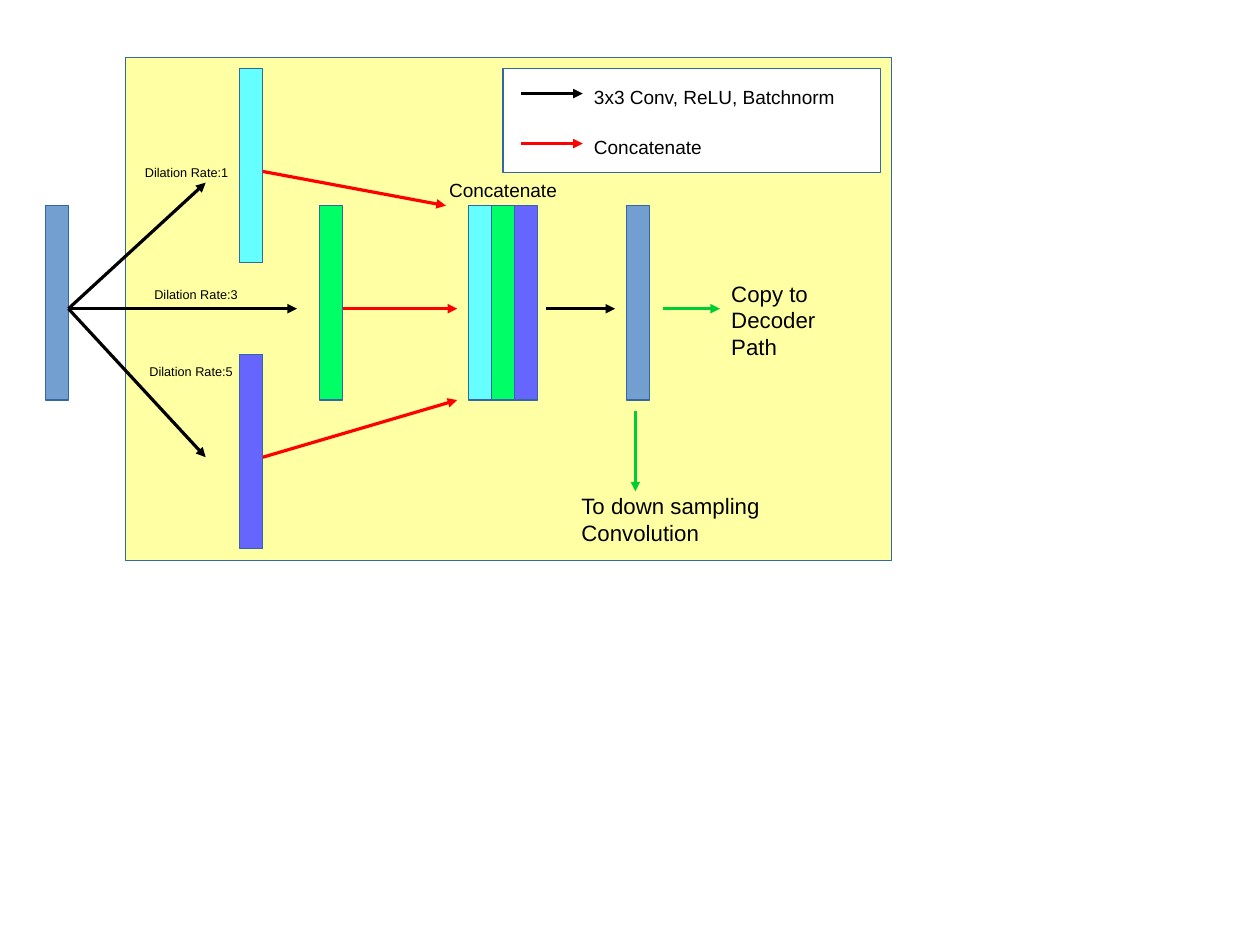
from lxml.etree import SubElement
from pptx import Presentation
from pptx.dml.color import RGBColor
from pptx.enum.dml import MSO_LINE
from pptx.enum.shapes import MSO_CONNECTOR as Connector, MSO_SHAPE as Shape
from pptx.enum.text import MSO_ANCHOR as Anchor, MSO_AUTO_SIZE as AutoSize
from pptx.oxml.ns import qn
from pptx.util import Cm, Pt

COLORS = {
    "panel": "FFFF00", "border": "3465A4", "feature": "729FCF",
    "cyan": "66FFFF", "green": "00FF66", "violet": "6666FF",
    "white": "FFFFFF", "text": "000000",
    "convolve": "000000", "concatenate": "FF0000", "output": "00CC33",
}
BAR_WIDTH, BAR_HEIGHT = 0.51, 4.32
ROW_TOP, ROW_AXIS = 4.57, 6.86


class Diagram:
    """Holds the style and the slide being drawn."""

    font_name = "Arial"
    line_width = Pt(0)

    def __init__(self, slide):
        self.slide = slide

    def color(self, name):
        return RGBColor.from_string(COLORS[name])

    def outline(self, line, color):
        line.fill.solid()
        formats = {"width": self.line_width, "dash_style": MSO_LINE.SOLID}
        for name, value in formats.items():
            setattr(line, name, value)
        line.color.rgb = self.color(color)

    def box(self, left, top, width, height, fill, opacity=None):
        shape = self.slide.shapes.add_shape(
            Shape.RECTANGLE, Cm(left), Cm(top), Cm(width), Cm(height))
        shape.shadow.inherit = False
        shape.fill.solid()
        shape.fill.fore_color.rgb = self.color(fill)
        if opacity is not None:
            tint = shape.fill._xPr.find(qn("a:solidFill"))[0]
            SubElement(tint, qn("a:alpha"), val=str(opacity * 1000))
        self.outline(shape.line, "border")
        return shape

    def bar(self, left, top, fill):
        return self.box(left, top, BAR_WIDTH, BAR_HEIGHT, fill)

    def arrow(self, start, end, color):
        connector = self.slide.shapes.add_connector(
            Connector.STRAIGHT, *map(Cm, (*start, *end)))
        self.outline(connector.line, color)
        properties = connector._element.spPr
        SubElement(properties.find(qn("a:ln")), qn("a:tailEnd"), type="triangle")
        SubElement(properties, qn("a:effectLst"))
        return connector

    def label(self, left, top, width, height, text, size, wrap=False):
        shape = self.slide.shapes.add_textbox(
            Cm(left), Cm(top), Cm(width), Cm(height))
        frame = shape.text_frame
        frame.text = text
        formats = {"word_wrap": wrap, "vertical_anchor": Anchor.TOP,
                   "auto_size": AutoSize.SHAPE_TO_FIT_TEXT}
        for name, value in formats.items():
            setattr(frame, name, value)
        for paragraph in frame.paragraphs:
            for name, value in {"name": self.font_name, "size": Pt(size)}.items():
                setattr(paragraph.font, name, value)
            paragraph.font.color.rgb = self.color("text")
        return shape


def main():
    presentation = Presentation()
    presentation.slide_width, presentation.slide_height = Cm(28), Cm(21)
    diagram = Diagram(presentation.slides.add_slide(presentation.slide_layouts[6]))

    # Module panel and input features
    diagram.box(2.79, 1.27, 17.02, 11.18, "panel", opacity=36)
    diagram.bar(1.02, ROW_TOP, "feature")

    # Dilated branches: rate, bar, arrow in, arrow out, label
    branches = [
        (1, "cyan", (5.33, 1.52), (4.57, 4.06), (5.84, 3.81), (9.91, 4.57), (2.97, 3.53)),
        (3, "green", (7.11, ROW_TOP), (6.6, ROW_AXIS), (7.62, ROW_AXIS),
         (10.16, ROW_AXIS), (3.18, 6.25)),
        (5, "violet", (5.33, 7.87), (4.57, 10.16), (5.84, 10.16), (10.16, 8.89), (3.07, 7.95)),
    ]
    for index, (rate, fill, corner, tip, start, end, place) in enumerate(branches):
        diagram.arrow((1.52, ROW_AXIS), tip, "convolve")
        diagram.bar(*corner, fill)
        diagram.arrow(start, end, "concatenate")
        diagram.label(*place, 2.36, 0.56, f"Dilation Rate:{rate}", 8)
        diagram.bar(10.41 + index * BAR_WIDTH, ROW_TOP, fill)
    diagram.label(9.73, 3.84, 2.92, 0.74, "Concatenate", 12)

    # Fused features and their outputs
    diagram.arrow((12.14, ROW_AXIS), (13.67, ROW_AXIS), "convolve")
    diagram.bar(13.92, ROW_TOP, "feature")
    diagram.arrow((14.12, 9.14), (14.12, 10.92), "output")
    diagram.arrow((14.73, ROW_AXIS), (16, ROW_AXIS), "output")
    diagram.label(16, 6.1, 3.05, 1.91, "Copy to Decoder Path", 14, wrap=True)
    diagram.label(12.67, 10.82, 4.6, 1.37, "To down sampling\nConvolution", 14)

    # Legend
    diagram.box(11.18, 1.52, 8.38, 2.31, "white")
    entries = [("convolve", "3x3 Conv, ReLU, Batchnorm"), ("concatenate", "Concatenate")]
    for index, (color, meaning) in enumerate(entries):
        top = 1.78 + index * 1.11
        diagram.arrow((11.58, top + 0.3), (12.95, top + 0.3), color)
        diagram.label(12.95, top, 6.1, 0.97, meaning, 12, wrap=True)

    presentation.save("out.pptx")


if __name__ == "__main__":
    main()
